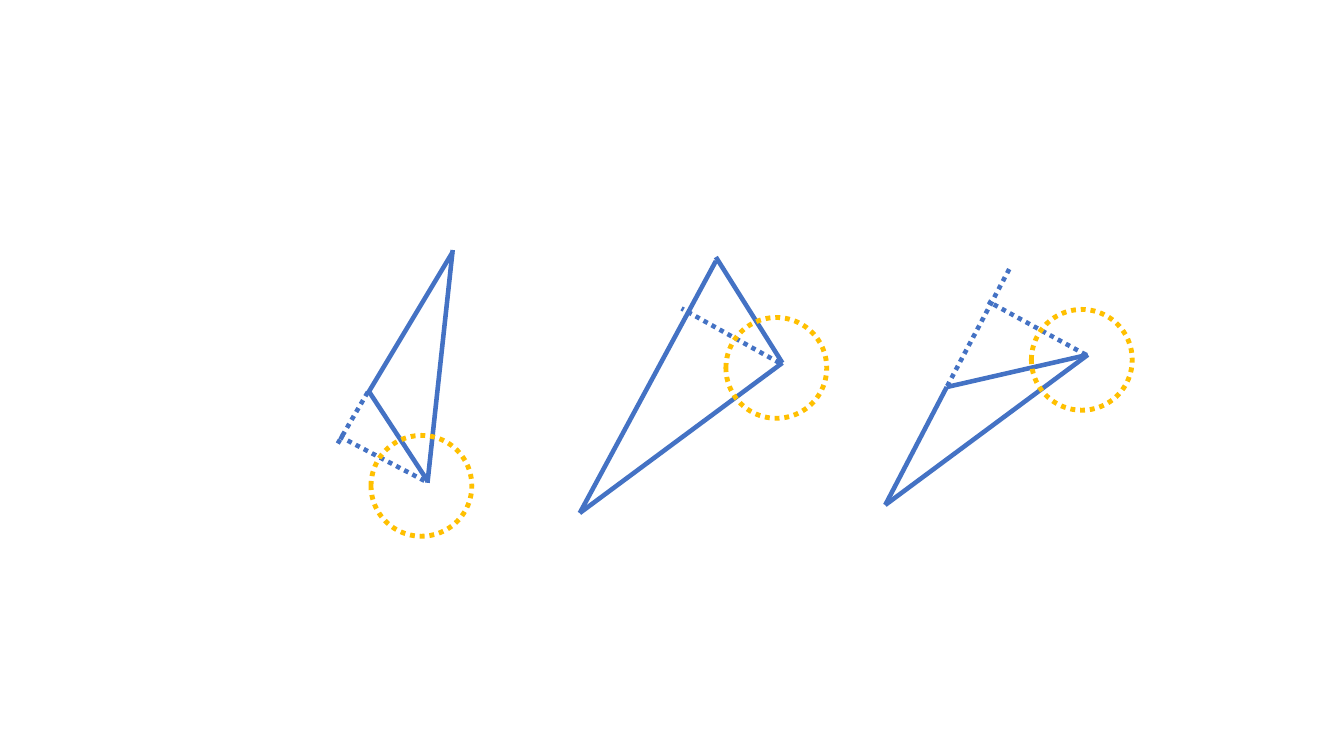
from pptx import Presentation
from pptx.dml.color import RGBColor
from pptx.enum.dml import MSO_LINE
from pptx.enum.shapes import MSO_CONNECTOR, MSO_SHAPE
from pptx.oxml.ns import qn
from pptx.util import Inches, Pt
from lxml import etree

COLORS = {"edge": "4472C4", "vertex": "FFC000"}
DIAMETER = 1

TRIANGLES = [
    {
        "sides": [(9.39, 3.84, 8.78, 5.01), (8.78, 5.01, 10.79, 3.52), (9.39, 3.84, 10.79, 3.52)],
        "dotted": [(10.01, 2.67, 9.39, 3.84), (10.77, 3.52, 9.8, 2.99)],
        "circle": (10.23, 3.07),
    },
    {
        "sides": [(7.1, 2.59, 5.75, 5.09), (5.75, 5.09, 7.76, 3.6), (7.1, 2.55, 7.76, 3.6)],
        "dotted": [(7.73, 3.6, 6.76, 3.06)],
        "circle": (7.2, 3.15),
    },
    {
        "sides": [(4.49, 2.5, 3.65, 3.9), (3.65, 3.87, 4.24, 4.77), (4.49, 2.48, 4.24, 4.79)],
        "dotted": [(4.21, 4.77, 3.35, 4.32), (3.35, 4.4, 3.66, 3.87)],
        "circle": (3.68, 4.32),
    },
]


def style_line(line, color, width, dotted):
    line.color.rgb = RGBColor.from_string(COLORS[color])
    line.width = Pt(width)
    if dotted:
        line.dash_style = MSO_LINE.ROUND_DOT


prs = Presentation()
prs.slide_width = Inches(13.33)
prs.slide_height = Inches(7.5)
s = prs.slides.add_slide(prs.slide_layouts[6])

for triangle in TRIANGLES:
    group = s.shapes.add_group_shape()
    for kind in ("sides", "dotted"):
        for points in triangle[kind]:
            edge = group.shapes.add_connector(MSO_CONNECTOR.STRAIGHT, *map(Inches, points))
            style_line(edge.line, "edge", 3.25, kind == "dotted")
            etree.SubElement(edge._element.spPr, qn("a:effectLst"))
    left, top = triangle["circle"]
    circle = group.shapes.add_shape(
        MSO_SHAPE.OVAL, Inches(left), Inches(top), Inches(DIAMETER), Inches(DIAMETER)
    )
    circle.shadow.inherit = False
    circle.fill.background()
    style_line(circle.line, "vertex", 3.5, True)

prs.save("out.pptx")
